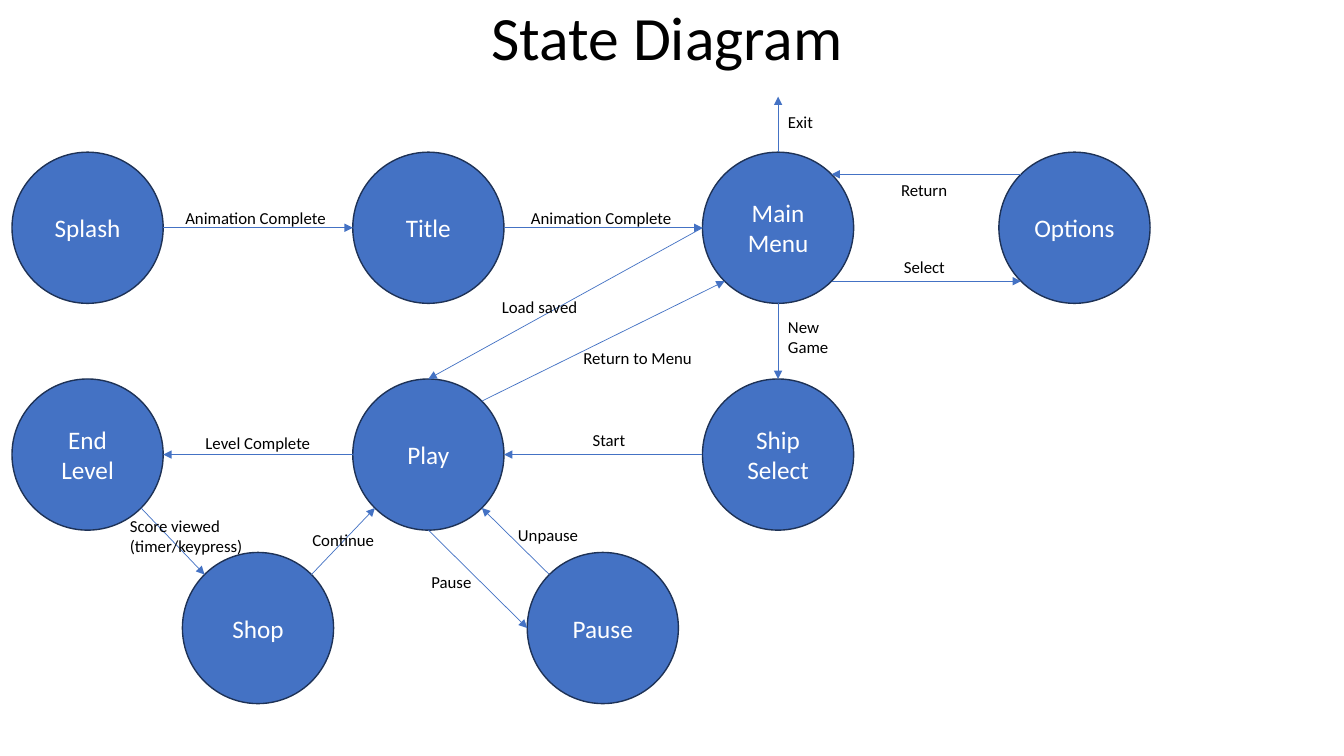
import math

from lxml import etree
from pptx import Presentation
from pptx import util as u
from pptx.dml.color import RGBColor
from pptx.enum import shapes, text
from pptx.oxml.ns import qn

COLOURS = {"state": "4472C4", "outline": "1E3256", "arrow": "4472C4",
           "light": "FFFFFF", "dark": "000000"}
DIAMETER = 108

# Connection sites of an ellipse, counter-clockwise from the top in 45 degree steps
TOP, TOP_LEFT, LEFT, BOTTOM_LEFT, BOTTOM, BOTTOM_RIGHT, RIGHT, TOP_RIGHT = range(8)

COLUMNS = (8.6, 252, 501.8, 713.5)
ROWS = (108.7, 270.7, 394.6)
STATES = {
    "Splash": (COLUMNS[0], ROWS[0]),
    "Title": (COLUMNS[1], ROWS[0]),
    "Main Menu": (COLUMNS[2], ROWS[0]),
    "Options": (COLUMNS[3], ROWS[0]),
    "End Level": (COLUMNS[0], ROWS[1]),
    "Play": (COLUMNS[1], ROWS[1]),
    "Ship Select": (COLUMNS[2], ROWS[1]),
    "Shop": (130.3, ROWS[2]),
    "Pause": (376.6, ROWS[2]),
}

# From state and site, to state and site, label, label left, top and width
TRANSITIONS = [
    ("Splash", RIGHT, "Title", LEFT, "Animation Complete", 125.3, 144.7, 120.2),
    ("Title", RIGHT, "Main Menu", LEFT, "Animation Complete", 372.2, 144.7, 120.2),
    ("Main Menu", BOTTOM_RIGHT, "Options", BOTTOM_LEFT, "Select", 638.6, 180, 45.4),
    ("Options", TOP_LEFT, "Main Menu", TOP_RIGHT, "Return", 636.5, 124.6, 49.7),
    ("Main Menu", BOTTOM, "Ship Select", TOP, "New Game", 555.8, 222.5, 57.6),
    ("Ship Select", LEFT, "Play", RIGHT, "Start", 416.2, 303.1, 41.8),
    ("Play", LEFT, "End Level", RIGHT, "Level Complete", 139.7, 305.3, 91.4),
    ("End Level", BOTTOM_RIGHT, "Shop", TOP_LEFT,
     "Score viewed (timer/keypress)", 85.7, 365, 102.2),
    ("Shop", TOP_RIGHT, "Play", BOTTOM_LEFT, "Continue", 216, 375.1, 59),
    ("Play", BOTTOM, "Pause", LEFT, "Pause", 301, 404.6, 59),
    ("Pause", TOP_LEFT, "Play", BOTTOM_RIGHT, "Unpause", 362.9, 371.5, 59),
    ("Play", TOP_RIGHT, "Main Menu", BOTTOM_LEFT, "Return to Menu", 409.7, 244.8, 95.8),
    ("Main Menu", LEFT, "Play", TOP, "Load saved", 351.4, 208.1, 95.8),
]


def write(shape, content, size=12, colour="dark", align=text.PP_ALIGN.LEFT,
          anchor=text.MSO_ANCHOR.TOP, spacing=1.0):
    frame = shape.text_frame
    frame.word_wrap = True
    frame.vertical_anchor = anchor
    paragraph = frame.paragraphs[0]
    paragraph.text = content
    paragraph.alignment = align
    paragraph.line_spacing = spacing
    font = paragraph.font
    font.name = "Calibri"
    font.size = u.Pt(size)
    font.color.rgb = RGBColor.from_string(COLOURS[colour])


def site_point(shape, site):
    """Return the position of a connection site on a circle."""
    angle = math.radians(45 * site)
    radius = shape.width / 2
    return (round(shape.left + radius - radius * math.sin(angle)),
            round(shape.top + radius - radius * math.cos(angle)))


class StateDiagram:
    def __init__(self, slide):
        self.slide = slide
        self.states = {}

    def title(self, content):
        box = self.slide.shapes.add_textbox(u.Pt(62.6), 0, u.Pt(828), u.Pt(58.3))
        write(box, content, size=44, align=text.PP_ALIGN.CENTER,
              anchor=text.MSO_ANCHOR.MIDDLE, spacing=0.9)

    def state(self, name, left, top):
        shape = self.slide.shapes.add_shape(
            shapes.MSO_SHAPE.OVAL, u.Pt(left), u.Pt(top), u.Pt(DIAMETER), u.Pt(DIAMETER))
        shape.shadow.inherit = False
        shape.fill.solid()
        shape.fill.fore_color.rgb = RGBColor.from_string(COLOURS["state"])
        shape.line.color.rgb = RGBColor.from_string(COLOURS["outline"])
        shape.line.width = u.Pt(1)
        write(shape, name, size=18, colour="light", align=text.PP_ALIGN.CENTER,
              anchor=text.MSO_ANCHOR.MIDDLE)
        self.states[name] = shape

    def arrow(self, begin, end):
        connector = self.slide.shapes.add_connector(
            shapes.MSO_CONNECTOR.STRAIGHT, *begin, *end)
        connector.line.color.rgb = RGBColor.from_string(COLOURS["arrow"])
        connector.line.width = u.Pt(0.5)
        line = connector.line._get_or_add_ln()
        etree.SubElement(line, qn("a:tailEnd"), type="triangle")
        etree.SubElement(connector._element.spPr, qn("a:effectLst"))
        return connector

    def transition(self, source, source_site, target, target_site):
        """Draw an arrow between two states and attach it to both."""
        begin, end = self.states[source], self.states[target]
        connector = self.arrow(site_point(begin, source_site), site_point(end, target_site))
        properties = connector._element.nvCxnSpPr.cNvCxnSpPr
        for tag, shape, site in (("a:stCxn", begin, source_site),
                                 ("a:endCxn", end, target_site)):
            etree.SubElement(properties, qn(tag), id=str(shape.shape_id), idx=str(site))

    def label(self, content, left, top, width):
        box = self.slide.shapes.add_textbox(u.Pt(left), u.Pt(top), u.Pt(width), u.Pt(21.6))
        write(box, content)
        box.text_frame.auto_size = text.MSO_AUTO_SIZE.SHAPE_TO_FIT_TEXT


def main():
    presentation = Presentation()
    presentation.slide_width, presentation.slide_height = u.Pt(960), u.Pt(540)
    diagram = StateDiagram(presentation.slides.add_slide(presentation.slide_layouts[6]))

    diagram.title("State Diagram")
    for name, (left, top) in STATES.items():
        diagram.state(name, left, top)
    for *ends, name, left, top, width in TRANSITIONS:
        diagram.transition(*ends)
        diagram.label(name, left, top, width)

    exit_x, exit_y = site_point(diagram.states["Main Menu"], TOP)
    diagram.arrow((exit_x, exit_y), (exit_x, u.Pt(69)))
    diagram.label("Exit", 555.8, 76.3, 45.4)

    presentation.save("out.pptx")


if __name__ == "__main__":
    main()
